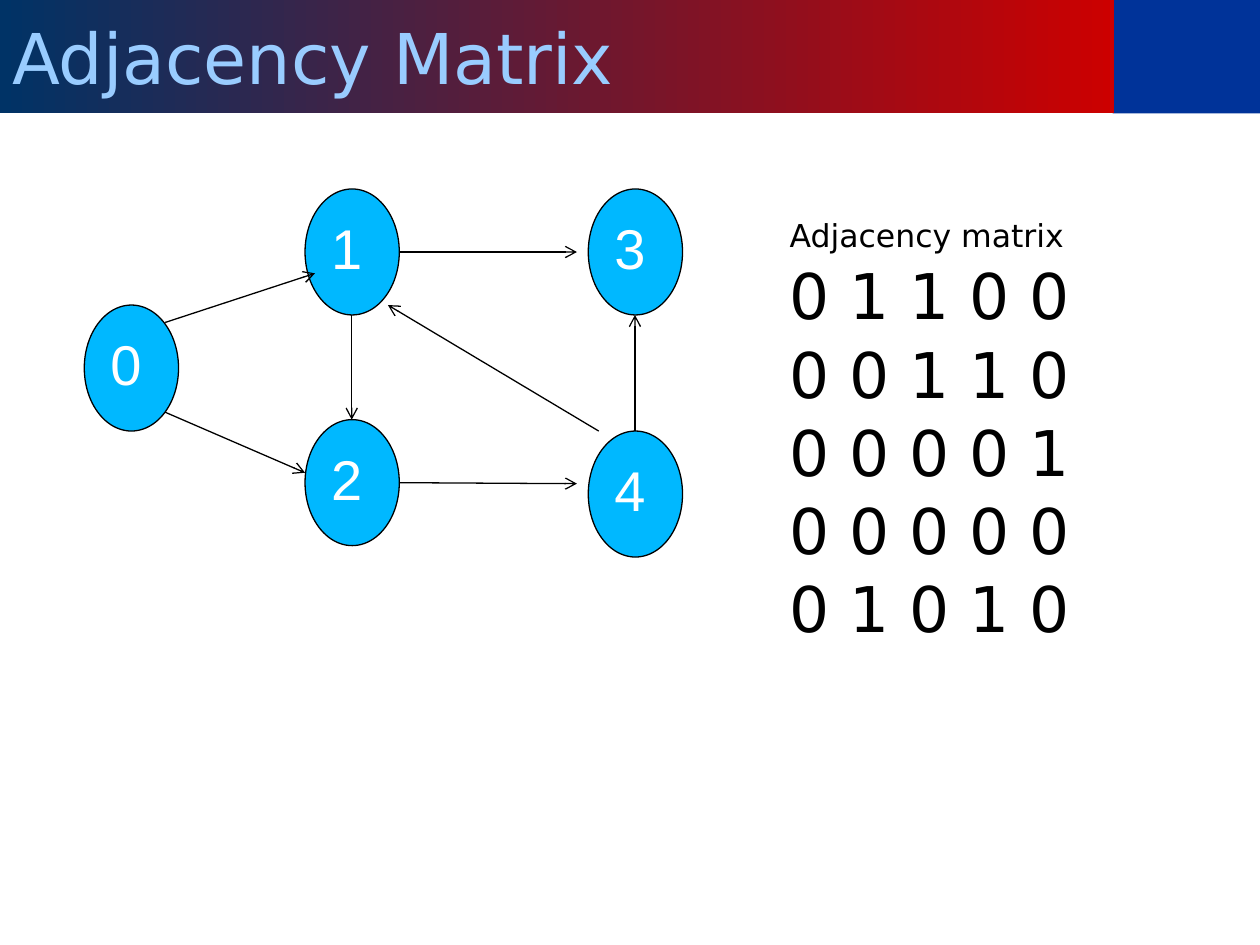
"""Build a slide showing a directed graph and its adjacency matrix."""
import pptx
import pptx.dml.color
import pptx.enum.shapes
import pptx.enum.text
import pptx.oxml.ns
import pptx.util
from lxml import etree

Cm = pptx.util.Cm
Pt = pptx.util.Pt
RGBColor = pptx.dml.color.RGBColor
SHAPE = pptx.enum.shapes.MSO_SHAPE
ANCHOR = pptx.enum.text.MSO_ANCHOR
qn = pptx.oxml.ns.qn

BLACK = RGBColor(0x00, 0x00, 0x00)
WHITE = RGBColor(0xFF, 0xFF, 0xFF)
BLUE = RGBColor(0x00, 0x33, 0x99)
NAVY = RGBColor(0x00, 0x33, 0x66)
RED = RGBColor(0xCC, 0x00, 0x00)
PALE_BLUE = RGBColor(0x99, 0xCC, 0xFF)
CYAN = RGBColor(0x00, 0xB8, 0xFF)

SANS = "DejaVu Sans"
BAR_H = 2.29
NODE_W, NODE_H = 1.9, 2.54
NODES = [(1.7, 6.15), (6.15, 3.81), (6.15, 8.46), (11.86, 3.81), (11.86, 8.69)]
EDGES = [
    (3.33, 6.5, 6.35, 5.51),
    (3.33, 8.31, 6.15, 9.53),
    (7.09, 6.35, 7.09, 8.46),
    (8.05, 5.08, 11.63, 5.08),
    (8.05, 9.73, 11.63, 9.75),
    (12.07, 8.69, 7.82, 6.15),
    (12.8, 8.69, 12.8, 6.35),
]
MATRIX = [
    (0, 1, 1, 0, 0),
    (0, 0, 1, 1, 0),
    (0, 0, 0, 0, 1),
    (0, 0, 0, 0, 0),
    (0, 1, 0, 1, 0),
]


def add_run(p, text, size, color, font=SANS):
    """Add one formatted run to a left-aligned paragraph."""
    p.alignment = pptx.enum.text.PP_ALIGN.LEFT
    r = p.add_run()
    r.text = text
    r.font.size = Pt(size)
    r.font.name = font
    r.font.color.rgb = color


def add_box(s, kind, x, y, w, h):
    """Add a preset shape without shadow or outline."""
    sp = s.shapes.add_shape(kind, Cm(x), Cm(y), Cm(w), Cm(h))
    sp.shadow.inherit = False
    sp.line.fill.background()
    return sp


def add_title(s, text):
    """Add the gradient title bar and the blue block at its right."""
    corner = add_box(s, SHAPE.RECTANGLE, 22.43, 0, 2.97, BAR_H)
    corner.fill.solid()
    corner.fill.fore_color.rgb = BLUE
    bar = add_box(s, SHAPE.RECTANGLE, 0, 0, 22.45, BAR_H)
    bar.fill.gradient()
    bar.fill.gradient_angle = 0
    for stop, color in zip(bar.fill.gradient_stops, (NAVY, RED)):
        stop.color.rgb = color
    tf = bar.text_frame
    tf.vertical_anchor = ANCHOR.MIDDLE
    add_run(tf.paragraphs[0], text, 40, PALE_BLUE)


def add_node(s, label, x, y):
    """Add one labelled graph node."""
    sp = add_box(s, SHAPE.OVAL, x, y, NODE_W, NODE_H)
    sp.fill.solid()
    sp.fill.fore_color.rgb = CYAN
    sp.line.color.rgb = BLACK
    sp.line.width = Pt(0.75)
    tf = sp.text_frame
    tf.vertical_anchor = ANCHOR.TOP
    add_run(tf.paragraphs[0], label, 32, WHITE, "Arial")


def add_edge(s, x1, y1, x2, y2):
    """Add a straight arrow between two points."""
    kind = pptx.enum.shapes.MSO_CONNECTOR.STRAIGHT
    cxn = s.shapes.add_connector(kind, Cm(x1), Cm(y1), Cm(x2), Cm(y2))
    cxn.line.color.rgb = BLACK
    cxn.line.width = Pt(0.75)
    etree.SubElement(cxn.line._get_or_add_ln(), qn("a:tailEnd"), type="arrow")
    etree.SubElement(cxn._element.spPr, qn("a:effectLst"))


def add_matrix(s, heading, rows):
    """Add the heading and the matrix rows as text."""
    tf = s.shapes.add_textbox(Cm(15.67), Cm(4.24), Cm(7.29), Cm(8.71)).text_frame
    tf.word_wrap = True
    add_run(tf.paragraphs[0], heading, 18, BLACK)
    for row in rows:
        p = tf.add_paragraph()
        p.space_before = Pt(1.5)
        add_run(p, " ".join(map(str, row)), 36, BLACK)


def main():
    """Build and save the slide."""
    prs = pptx.Presentation()
    prs.slide_width, prs.slide_height = Cm(25.4), Cm(19.05)
    s = prs.slides.add_slide(prs.slide_layouts[6])
    add_title(s, "Adjacency Matrix")
    for i, (x, y) in reversed(list(enumerate(NODES))):
        add_node(s, str(i), x, y)
    for edge in EDGES:
        add_edge(s, *edge)
    add_matrix(s, "Adjacency matrix", MATRIX)
    prs.save("out.pptx")


main()
